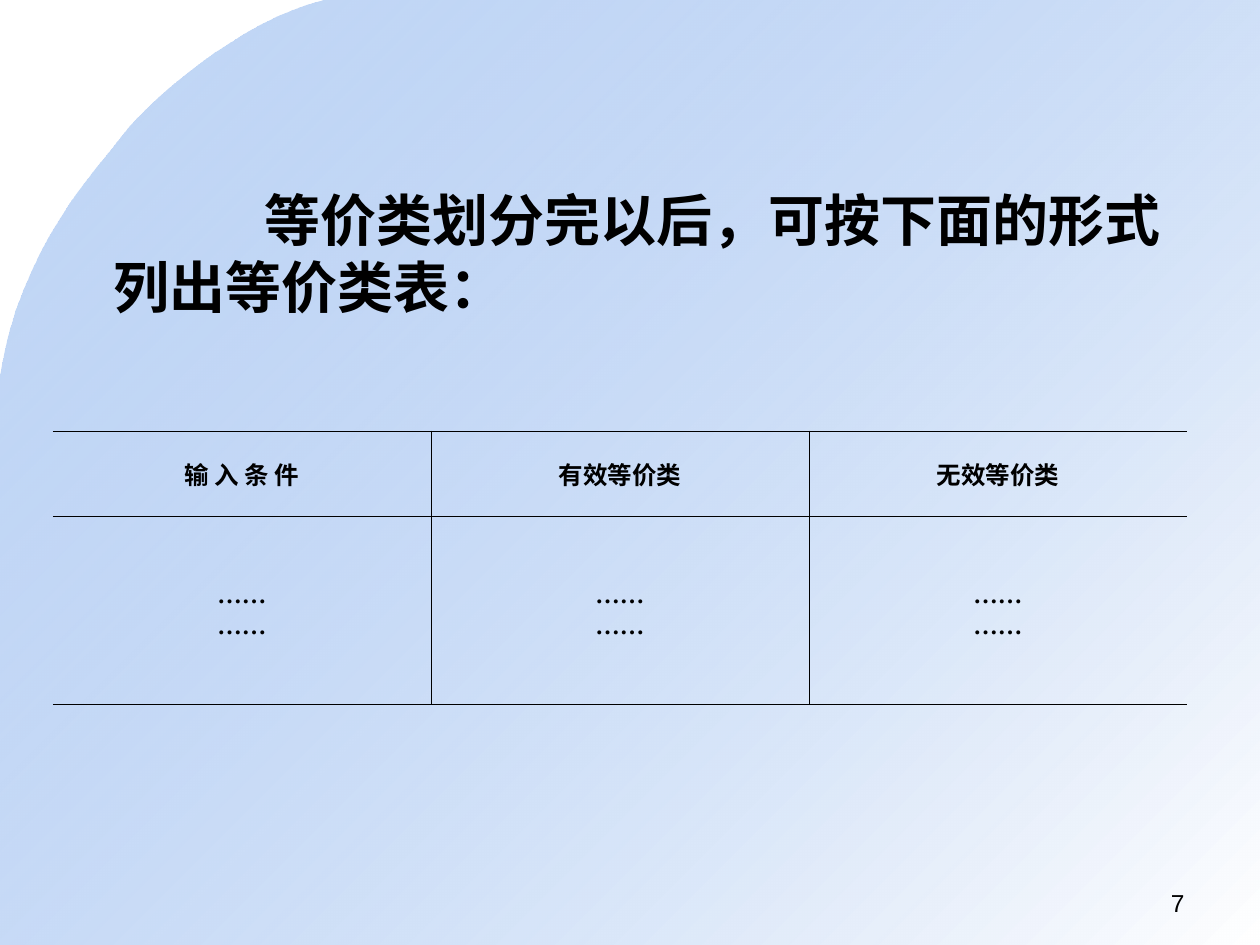
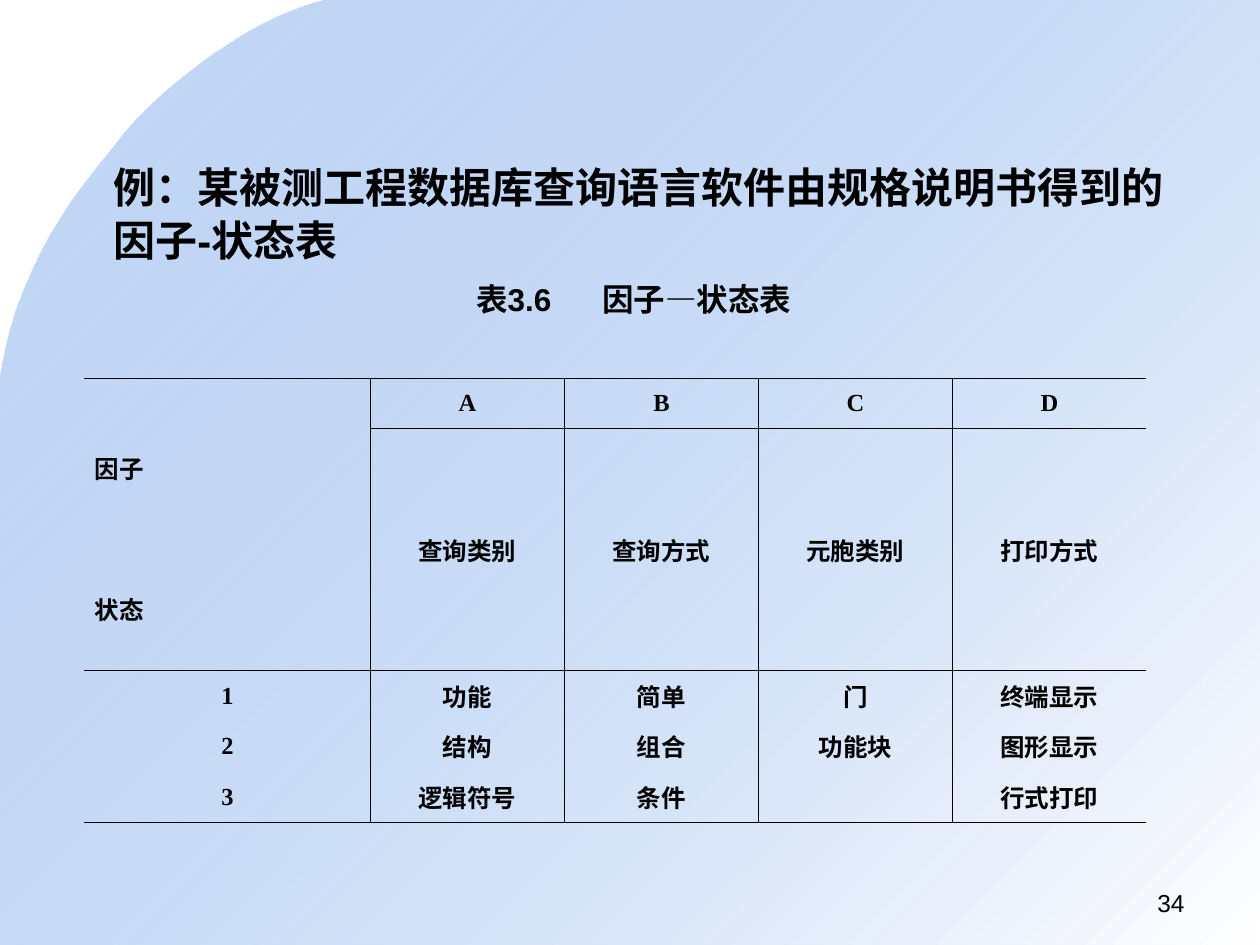
from dataclasses import dataclass

import pptx
import pptx.dml.color
import pptx.enum.text
import pptx.oxml
import pptx.oxml.ns
import pptx.util
from pptx.util import Inches

RGB = pptx.dml.color.RGBColor
ALIGN = pptx.enum.text.PP_ALIGN
ANCHOR = pptx.enum.text.MSO_ANCHOR
AUTO_SIZE = pptx.enum.text.MSO_AUTO_SIZE

COLORS = {"text": "000000", "line": "000000", "sky": "699DE9", "fade": "FFFFFF"}
SKY_ALPHA = 39
BORDER_PT = 0.45

# Text formats shared by the slides
CAPTION = {"name": "Arial", "size": pptx.util.Pt(18), "bold": True}
CELL = {"name": "Times New Roman", "size": pptx.util.Pt(14), "bold": True}
NUMBER = {"name": "Arial", "size": pptx.util.Pt(14)}


@dataclass
class Heading:
    text: str
    box: tuple[float, float, float, float]
    size: int
    first_indent: float = 0
    line_spacing: float = 1.0


@dataclass
class Grid:
    left: float
    top: float
    cols: list[float]
    rows: list[float]
    cells: list[list[str]]
    ruled: set[int]  # row boundaries that carry a line


def set_all(target, values: dict) -> None:
    for name, value in values.items():
        setattr(target, name, value)


def add_run(p, text: str, font: dict) -> None:
    r = p.add_run()
    r.text = text
    set_all(r.font, font)
    r.font.color.rgb = RGB.from_string(COLORS["text"])


def add_text(s, text: str, box: tuple, font: dict, align, wrap: bool = True) -> None:
    tf = s.shapes.add_textbox(*map(Inches, box)).text_frame
    tf.word_wrap = wrap
    p = tf.paragraphs[0]
    p.alignment = align
    add_run(p, text, font)


def bezier(p0: tuple, p1: tuple, p2: tuple, p3: tuple, steps: int = 16) -> list[tuple]:
    points = []
    for i in range(1, steps + 1):
        t = i / steps
        u = 1 - t
        weights = (u**3, 3 * u * u * t, 3 * u * t * t, t**3)
        points.append(tuple(sum(w * q[axis] for w, q in zip(weights, (p0, p1, p2, p3)))
                            for axis in (0, 1)))
    return points


def add_backdrop(s, layout) -> None:
    """Draw the curved gradient field and place it behind the layout."""
    start, middle, end = (2.58, 0), (0.98, 1.07), (0, 3.01)
    outline = bezier(start, (1.9, 0.16), (1.16, 0.83), middle)
    outline += bezier(middle, (0.8, 1.32), (0.16, 1.94), end)
    outline += [(0, 7.5), (10, 7.5), (10, 0)]
    builder = s.shapes.build_freeform(*map(Inches, start), scale=1.0)
    builder.add_line_segments([(Inches(x), Inches(y)) for x, y in outline], close=True)
    sp = builder.convert_to_shape()
    sp.shadow.inherit = False
    sp.line.fill.background()
    sp.fill.gradient()
    sp.fill.gradient_angle = 315
    for stop, color in zip(sp.fill.gradient_stops, ("sky", "fade")):
        stop.color.rgb = RGB.from_string(COLORS[color])
    sky = sp._element.spPr.find(".//" + pptx.oxml.ns.qn("a:srgbClr"))
    sky.append(pptx.oxml.parse_xml(
        f'<a:alpha {pptx.oxml.ns.nsdecls("a")} val="{SKY_ALPHA * 1000}"/>'))
    layout.shapes._spTree.insert(2, sp._element)


def add_heading(s, heading: Heading) -> None:
    title = s.shapes.title
    set_all(title, dict(zip(("left", "top", "width", "height"), map(Inches, heading.box))))
    tf = title.text_frame
    set_all(tf, {"word_wrap": True, "auto_size": AUTO_SIZE.NONE,
                 "vertical_anchor": ANCHOR.TOP})
    p = tf.paragraphs[0]
    set_all(p, {"alignment": ALIGN.LEFT, "space_before": pptx.util.Pt(8),
                "line_spacing": heading.line_spacing})
    pPr = p._p.get_or_add_pPr()
    pPr.set("marL", str(Inches(0.38)))
    pPr.set("indent", str(Inches(heading.first_indent)))
    add_run(p, heading.text,
            {"name": "Arial", "size": pptx.util.Pt(heading.size), "bold": True})


def set_borders(cell, sides: dict[str, bool]) -> None:
    tcPr = cell._tc.get_or_add_tcPr()
    for side, shown in sides.items():
        fill = (f'<a:solidFill><a:srgbClr val="{COLORS["line"]}"/></a:solidFill>'
                if shown else "<a:noFill/>")
        tcPr.append(pptx.oxml.parse_xml(
            f'<a:ln{side} {pptx.oxml.ns.nsdecls("a")} w="{pptx.util.Pt(BORDER_PT)}">'
            f"{fill}</a:ln{side}>"))


def fill_cell(cell, text: str) -> None:
    set_all(cell, {"margin_left": Inches(0.08), "margin_right": Inches(0.08),
                   "margin_top": Inches(0.05), "margin_bottom": Inches(0.05),
                   "vertical_anchor": ANCHOR.MIDDLE})
    tf = cell.text_frame
    for i, line in enumerate(text.split("\n") if text else []):
        p = tf.add_paragraph() if i else tf.paragraphs[0]
        set_all(p, {"alignment": ALIGN.CENTER, "space_before": pptx.util.Pt(1.2),
                    "space_after": pptx.util.Pt(1.2)})
        add_run(p, line, CELL)


def add_grid(s, grid: Grid, merge_corner: bool = False):
    n_rows, n_cols = len(grid.rows), len(grid.cols)
    box = (grid.left, grid.top, sum(grid.cols), sum(grid.rows))
    table = s.shapes.add_table(n_rows, n_cols, *map(Inches, box)).table
    set_all(table, {"first_row": False, "horz_banding": False})
    for column, width in zip(table.columns, grid.cols):
        column.width = Inches(width)
    for row, height in zip(table.rows, grid.rows):
        row.height = Inches(height)
    if merge_corner:
        table.cell(0, 0).merge(table.cell(1, 0))
    for i, texts in enumerate(grid.cells):
        for j, text in enumerate(texts):
            cell = table.cell(i, j)
            if not cell.is_spanned:
                fill_cell(cell, text)
                last = i + (cell.span_height if cell.is_merge_origin else 1)
                set_borders(cell, {"L": j > 0, "R": j < n_cols - 1,
                                   "T": i in grid.ruled, "B": last in grid.ruled})
            cell.fill.background()
    return table


def add_slide(prs, layout, heading: Heading, number: str):
    s = prs.slides.add_slide(layout)
    add_heading(s, heading)
    add_text(s, number, (7.17, 7, 2.33, 0.35), NUMBER, ALIGN.RIGHT)
    return s


def main() -> None:
    prs = pptx.Presentation()
    prs.slide_width, prs.slide_height = Inches(10), Inches(7.5)
    layout = prs.slide_layouts.get_by_name("Title Only")

    # Equivalence class table
    s = add_slide(prs, layout, Heading("等价类划分完以后，可按下面的形式列出等价类表：",
                                       (0.42, 1.42, 9.08, 1.4), 32, first_indent=1.2), "7")
    add_backdrop(s, layout)
    add_grid(s, Grid(0.42, 3.42, [3] * 3, [0.68, 1.49],
                     [["输 入 条 件", "有效等价类", "无效等价类"], ["……\n……"] * 3],
                     ruled={0, 1, 2}))

    # Factor and state table
    s = add_slide(prs, layout,
                  Heading("例：某被测工程数据库查询语言软件由规格说明书得到的因子-状态表",
                          (0.42, 1.2, 8.92, 1.15), 24, line_spacing=1.07), "34")
    add_text(s, "表3.6\t因子—状态表", (3.68, 2.17, 2.7, 0.4), CAPTION, ALIGN.LEFT, wrap=False)
    factors = Grid(0.67, 3, [2.27] + [1.54] * 4, [0.4, 1.84] + [0.4] * 3,
                   [["因子\n状态", "A", "B", "C", "D"],
                    ["", "查询类别", "查询方式", "元胞类别", "打印方式"],
                    ["1", "功能", "简单", "门", "终端显示"],
                    ["2", "结构", "组合", "功能块", "图形显示"],
                    ["3", "逻辑符号", "条件", "", "行式打印"]],
                   ruled={0, 1, 2, 5})
    corner = add_grid(s, factors, merge_corner=True).cell(0, 0)

    # Corner cell: the two labels stand apart at the left
    set_all(corner, {"vertical_anchor": ANCHOR.TOP, "margin_top": Inches(0.57)})
    for p in corner.text_frame.paragraphs:
        p.alignment = ALIGN.JUSTIFY
    corner.text_frame.paragraphs[1].space_before = pptx.util.Pt(59)

    prs.save("out.pptx")


if __name__ == "__main__":
    main()
